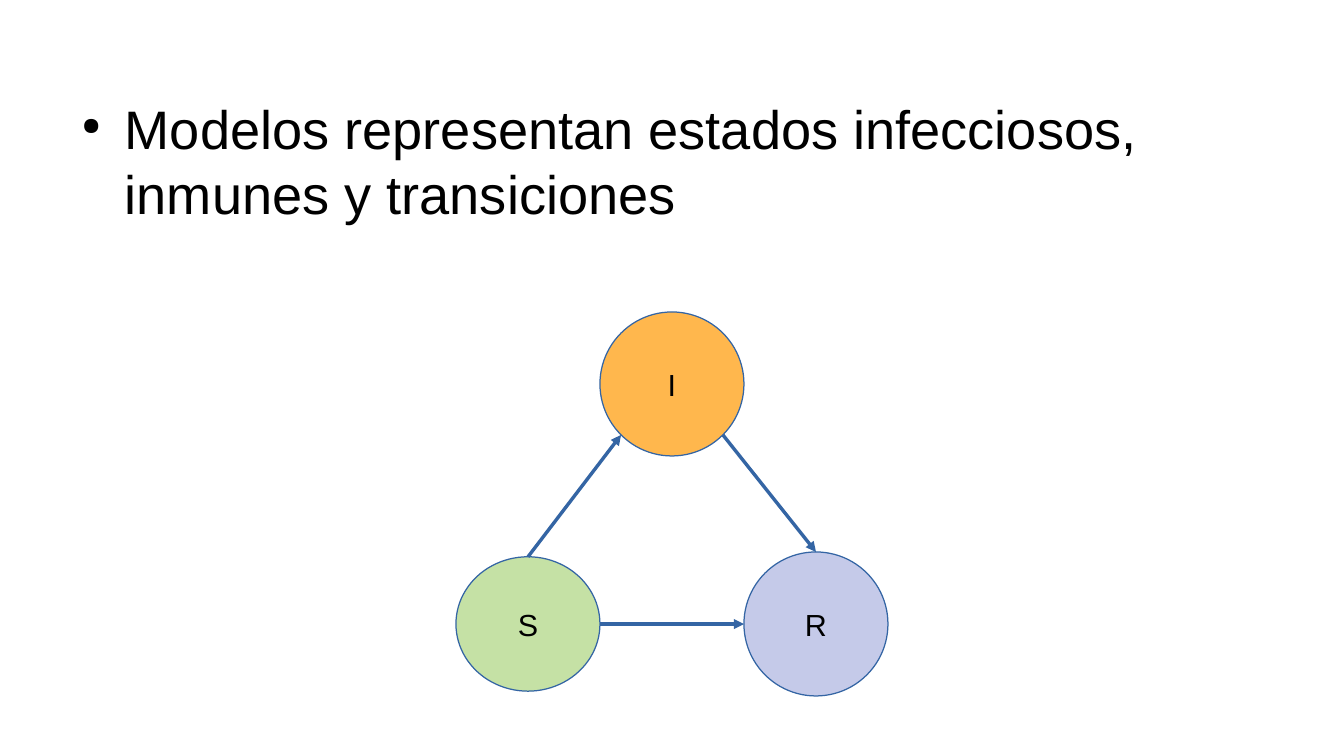
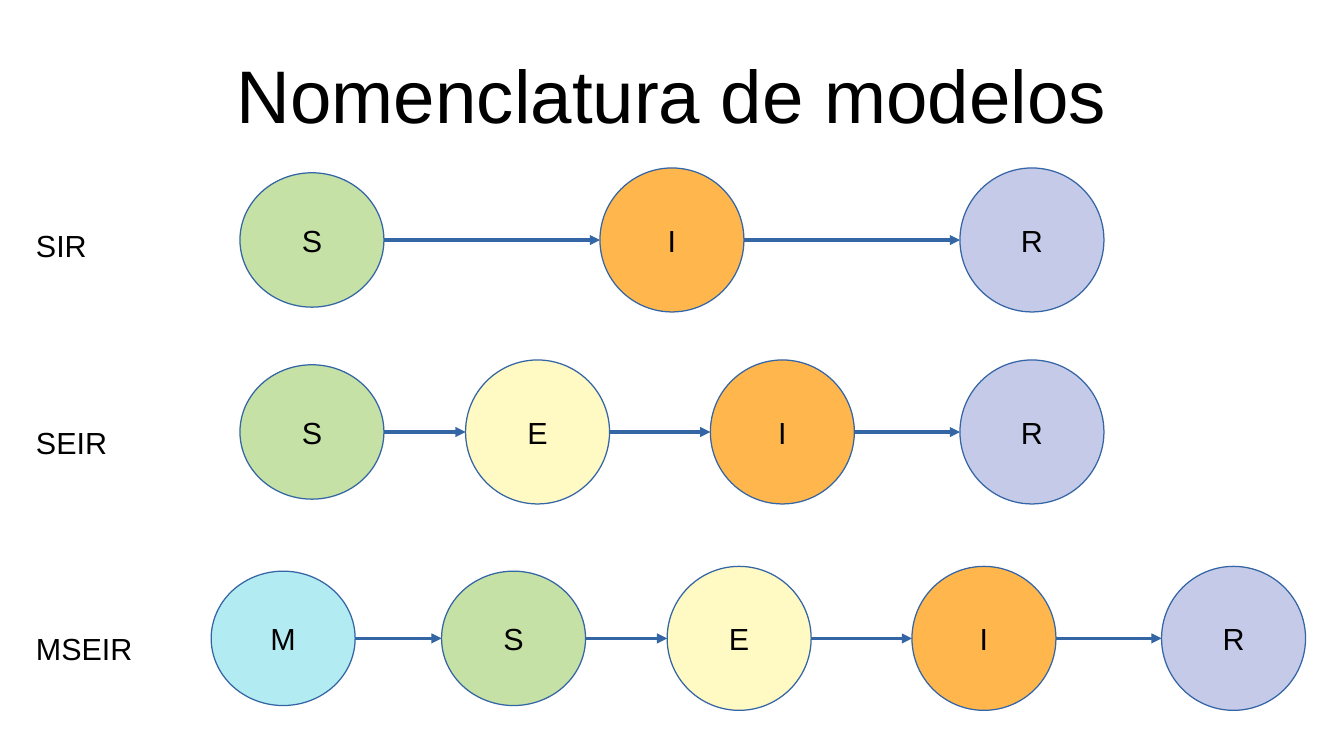
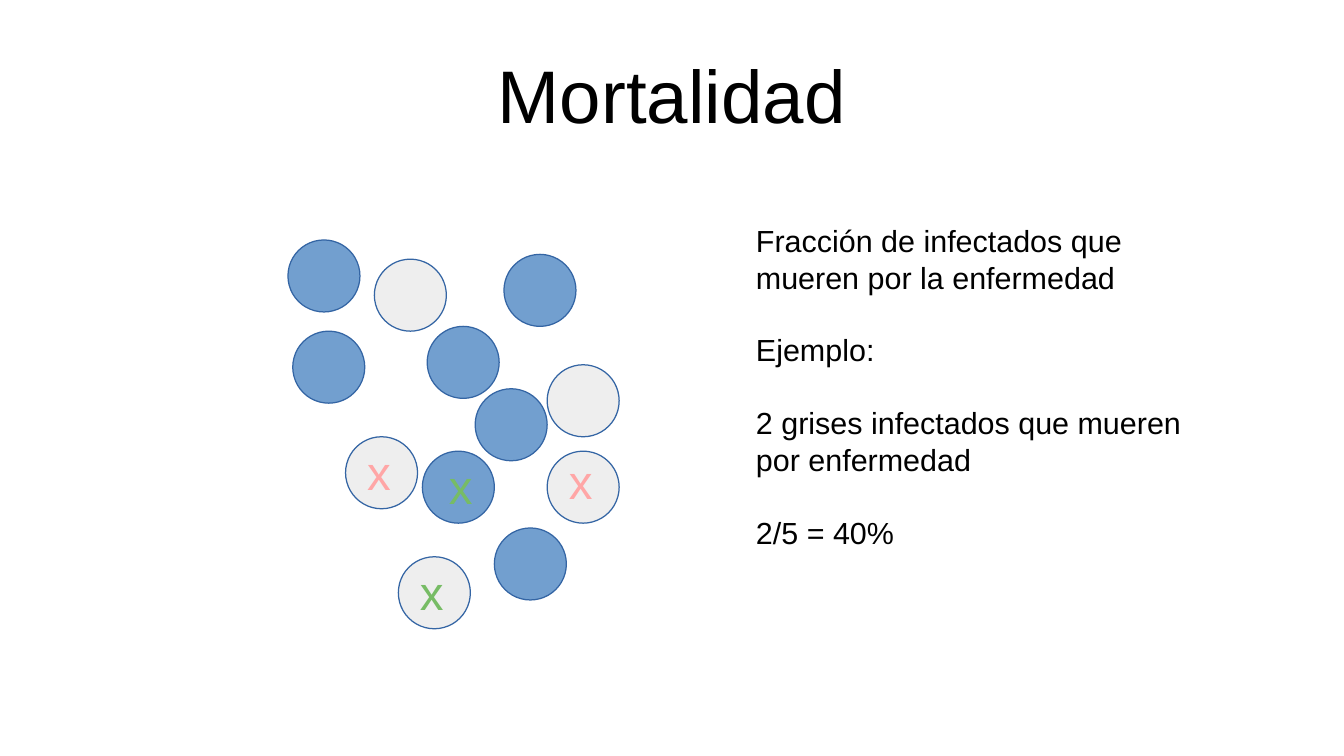
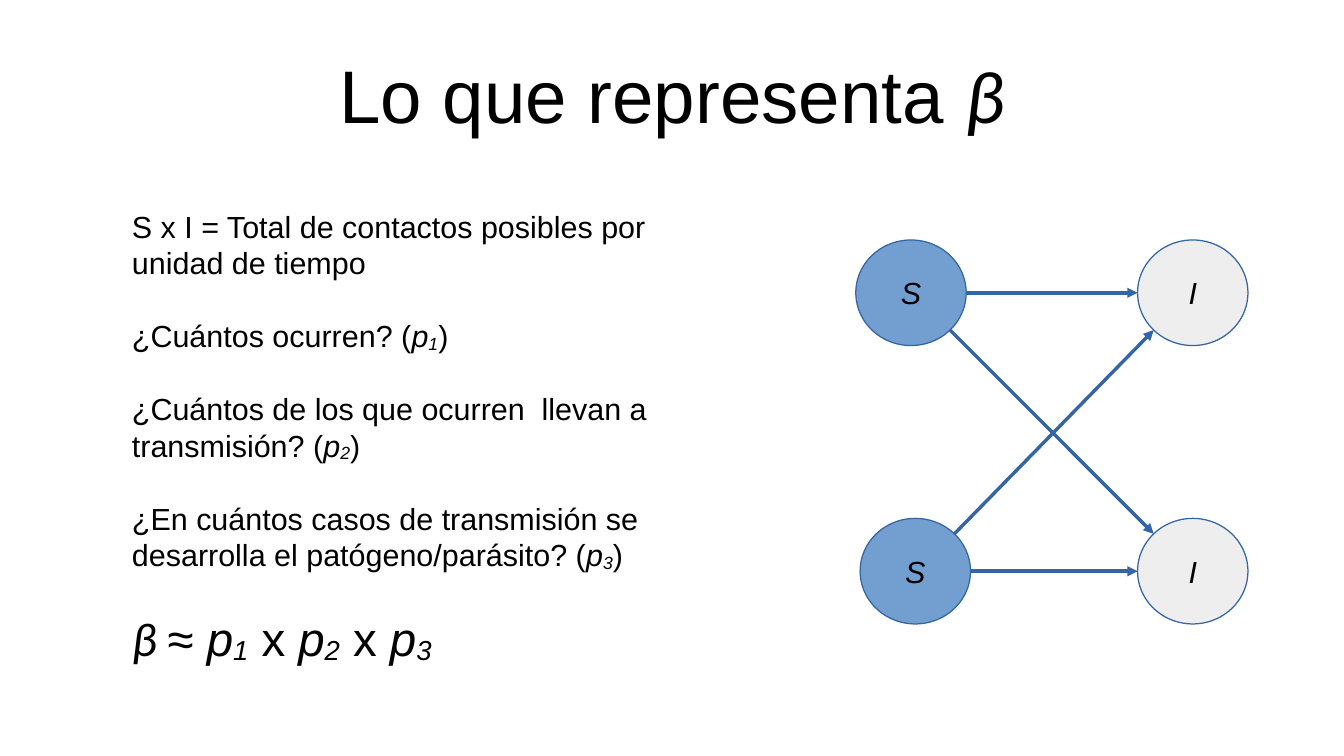
from itertools import pairwise
from math import cos, radians, sin

from lxml import etree
from pptx import Presentation
from pptx.dml.color import RGBColor
from pptx.enum.shapes import MSO_CONNECTOR, MSO_SHAPE
from pptx.enum.text import MSO_ANCHOR, PP_ALIGN
from pptx.oxml.ns import qn
from pptx.util import Cm, Pt

ELLIPSE, STRAIGHT = MSO_SHAPE.OVAL, MSO_CONNECTOR.STRAIGHT
MIDDLE, TOP = MSO_ANCHOR.MIDDLE, MSO_ANCHOR.TOP
CENTER, LEFT = PP_ALIGN.CENTER, PP_ALIGN.LEFT

COLUMNS, ROWS = 28, 15.75
UNIT = Cm(1)
FONT, GREEK_FONT = "Arial", "Calibri"
TITLE_SIZE, BODY_SIZE, LARGE_SIZE, TEXT_SIZE = 44, 32, 28, 18
PARAGRAPH_GAP = 21.5
MARGIN, CONTENT_WIDTH = 1.4, 25.2

COLORS = {
    "text": "000000", "line": "3465A4", "blue": "729FCF", "gray": "EEEEEE",
    "red": "FFA6A6", "green": "77BC65",
    "M": "B2EBF2", "S": "C5E1A5", "E": "FFF9C4", "I": "FFB74D", "R": "C5CAE9",
}
STATE_WIDTH = 3
STATE_HEIGHTS = {"M": 2.8, "S": 2.8, "E": 3, "I": 3, "R": 3}
TOP_SITE, LEFT_SITE, LOWER_LEFT, LOWER_RIGHT, RIGHT_SITE = 0, 2, 3, 5, 6
UPPER_LEFT, UPPER_RIGHT = 1, 7


def grid(value):
    """Turn grid units into a slide length."""
    return round(value * UNIT)


def color(name):
    """Look up a named colour."""
    return RGBColor.from_string(COLORS[name])


def add_span(para, text, size, style="", tint="text"):
    """Add one run; style may hold italic, sub and greek."""
    span = para.add_run()
    span.text = text
    font = span.font
    font.name = GREEK_FONT if "greek" in style else FONT
    font.size = Pt(size)
    font.color.rgb = color(tint)
    if style:
        font.italic = True
    if "sub" in style:
        font._element.set("baseline", "-8000")


def write(box, paras, size, tint="text", align=LEFT, gap=0):
    """Write paragraphs, each a list of (text, style) spans."""
    frame = box.text_frame
    for index, spans in enumerate(paras):
        para = frame.add_paragraph() if index else frame.paragraphs[0]
        para.alignment = align
        if index and gap:
            para.space_before = Pt(gap)
        para_size = LARGE_SIZE if spans[0][1] == "greek" and size == TEXT_SIZE else size
        for text, style in spans:
            add_span(para, text, para_size, style, tint)


def add_text(page, place, paras, size=TEXT_SIZE, tint="text", gap=0,
             align=LEFT, anchor=TOP, inset=True):
    """Add a wrapped text box at a place on the grid."""
    box = page.shapes.add_textbox(*map(grid, place))
    frame = box.text_frame
    frame.word_wrap = True
    frame.vertical_anchor = anchor
    if not inset:
        frame.margin_left = frame.margin_right = 0
        frame.margin_top = frame.margin_bottom = 0
    write(box, paras, size, tint, align, gap)
    return box


def add_title(page, spans):
    """Add the centred slide title."""
    add_text(page, (MARGIN, 0.63, CONTENT_WIDTH, 2.63), [spans], TITLE_SIZE,
             align=CENTER, anchor=MIDDLE, inset=False)


def add_bullet(page, text):
    """Add the large bulleted statement."""
    box = add_text(page, (MARGIN, 1.98, CONTENT_WIDTH, 9.14), [[(text, "")]],
                   BODY_SIZE, inset=False)
    para = box.text_frame.paragraphs[0]
    para.space_before = Pt(14.2)
    properties = para._p.get_or_add_pPr()
    properties.set("marL", str(grid(1.2)))
    properties.set("indent", str(grid(-0.9)))
    etree.SubElement(properties, qn("a:buSzPct")).set("val", "45000")
    etree.SubElement(properties, qn("a:buChar")).set("char", "●")


def add_circle(page, center_x, center_y, width, height, fill, text="", style=""):
    """Add an outlined ellipse around its centre."""
    place = (center_x - width / 2, center_y - height / 2, width, height)
    circle = page.shapes.add_shape(ELLIPSE, *map(grid, place))
    circle.shadow.inherit = False
    circle.fill.solid()
    circle.fill.fore_color.rgb = color(fill)
    circle.line.color.rgb = color("line")
    circle.line.width = Pt(0)
    if text:
        circle.text_frame.vertical_anchor = MIDDLE
        write(circle, [[(text, style)]], TEXT_SIZE, align=CENTER)
    return circle


def add_state(page, name, center_x, center_y):
    """Add the circle of one model state."""
    return add_circle(page, center_x, center_y, STATE_WIDTH,
                      STATE_HEIGHTS[name], name, name)


def site_point(circle, site):
    """Find one of the eight connection sites of an ellipse."""
    angle = radians(90 + 45 * site)
    return (round(circle.left + circle.width * (1 + cos(angle)) / 2),
            round(circle.top + circle.height * (1 - sin(angle)) / 2))


def add_arrow(page, start, start_site, end, end_site):
    """Join two circles with an arrow."""
    arrow = page.shapes.add_connector(
        STRAIGHT, *site_point(start, start_site), *site_point(end, end_site))
    arrow.line.color.rgb = color("line")
    arrow.line.width = Pt(0)
    etree.SubElement(arrow.line._get_or_add_ln(), qn("a:tailEnd")).set("type", "triangle")
    etree.SubElement(arrow._element.spPr, qn("a:effectLst"))
    joints = arrow._element.xpath("p:nvCxnSpPr/p:cNvCxnSpPr")[0]
    for tag, circle, site in (("a:stCxn", start, start_site), ("a:endCxn", end, end_site)):
        joint = etree.SubElement(joints, qn(tag))
        joint.set("id", str(circle.shape_id))
        joint.set("idx", str(site))


def build_states(page):
    """Show the three states and their transitions."""
    add_bullet(page, "Modelos representan estados infecciosos, inmunes y transiciones")
    susceptible = add_state(page, "S", 11, 13)
    infected = add_state(page, "I", 14, 8)
    recovered = add_state(page, "R", 17, 13)
    add_arrow(page, susceptible, TOP_SITE, infected, LOWER_LEFT)
    add_arrow(page, infected, LOWER_RIGHT, recovered, TOP_SITE)
    add_arrow(page, susceptible, RIGHT_SITE, recovered, LEFT_SITE)


def build_names(page):
    """Show one chain of states for each model name."""
    add_title(page, [("Nomenclatura de modelos", "")])
    models = (
        ("SIR", 5, 4.6, (6.5, 14, 21.5)),
        ("SEIR", 9, 8.7, (6.5, 11.2, 16.3, 21.5)),
        ("MSEIR", 13.3, 13, (5.9, 10.7, 15.4, 20.5, 25.7)),
    )
    for name, center_y, label_top, centers in models:
        add_text(page, (0.5, label_top, 3, 1), [[(name, "")]])
        chain = [add_state(page, state, center_x, center_y)
                 for state, center_x in zip(name, centers)]
        for start, end in pairwise(chain):
            add_arrow(page, start, RIGHT_SITE, end, LEFT_SITE)


def build_mortality(page):
    """Show a population with its deaths and the worked fraction."""
    add_title(page, [("Mortalidad", "")])
    people = {
        "blue": ((6.75, 5.75), (6.85, 7.65), (9.65, 7.55), (9.55, 10.15),
                 (11.05, 11.75), (11.25, 6.05), (10.65, 8.85)),
        "gray": ((12.15, 10.15), (12.15, 8.35), (7.95, 9.85), (9.05, 12.35),
                 (8.55, 6.15)),
    }
    for fill, centers in people.items():
        for center in centers:
            add_circle(page, *center, 1.5, 1.5, fill)
    deaths = {"red": ((11.6, 9.3), (7.4, 9.1)), "green": ((8.5, 11.6), (9.1, 9.4))}
    for tint, corners in deaths.items():
        for corner in corners:
            add_text(page, (*corner, 1.5, 1.5), [[("x", "")]], LARGE_SIZE, tint)
    lines = ("Fracción de infectados que mueren por la enfermedad", "Ejemplo:",
             "2 grises infectados que mueren por enfermedad", "2/5 = 40%")
    add_text(page, (15.5, 4.5, 9.5, 6.65), [[(line, "")] for line in lines],
             gap=PARAGRAPH_GAP)


def probability(number):
    """Give the spans of a numbered probability."""
    return [("p", "italic"), (number, "italic sub")]


def build_beta(page):
    """Show the contacts and the factors behind beta."""
    add_title(page, [("Lo que representa ", ""), ("β", "greek")])
    questions = (
        ("¿Cuántos ocurren? (", "1"),
        ("¿Cuántos de los que ocurren  llevan a transmisión? (", "2"),
        ("¿En cuántos casos de transmisión se desarrolla el patógeno/parásito? (", "3"),
    )
    paras = [[("S x I = Total de contactos posibles por unidad de tiempo", "")]]
    paras += [[(text, ""), *probability(number), (")", "")] for text, number in questions]
    paras.append([("β ", "greek"), ("≈ ", ""), *probability("1"), (" x ", ""),
                  *probability("2"), (" x ", ""), *probability("3")])
    add_text(page, (2.5, 4.2, 12.5, 9.4), paras, gap=PARAGRAPH_GAP)

    sources, targets = [], []
    for source_x, center_y in ((18.98, 6.1), (19.07, 11.9)):
        sources.append(add_circle(page, source_x, center_y, 2.3, 2.2, "blue", "S", "italic"))
        targets.append(add_circle(page, 24.85, center_y, 2.3, 2.2, "gray", "I", "italic"))
    for source, target in zip(sources, targets):
        add_arrow(page, source, RIGHT_SITE, target, LEFT_SITE)
    add_arrow(page, sources[0], LOWER_RIGHT, targets[1], UPPER_LEFT)
    add_arrow(page, sources[1], UPPER_RIGHT, targets[0], LOWER_LEFT)


def main():
    """Build and save the deck."""
    deck = Presentation()
    deck.slide_width, deck.slide_height = grid(COLUMNS), grid(ROWS)
    blank = deck.slide_layouts[6]
    for build in (build_states, build_names, build_mortality, build_beta):
        build(deck.slides.add_slide(blank))
    deck.save("out.pptx")


if __name__ == "__main__":
    main()
